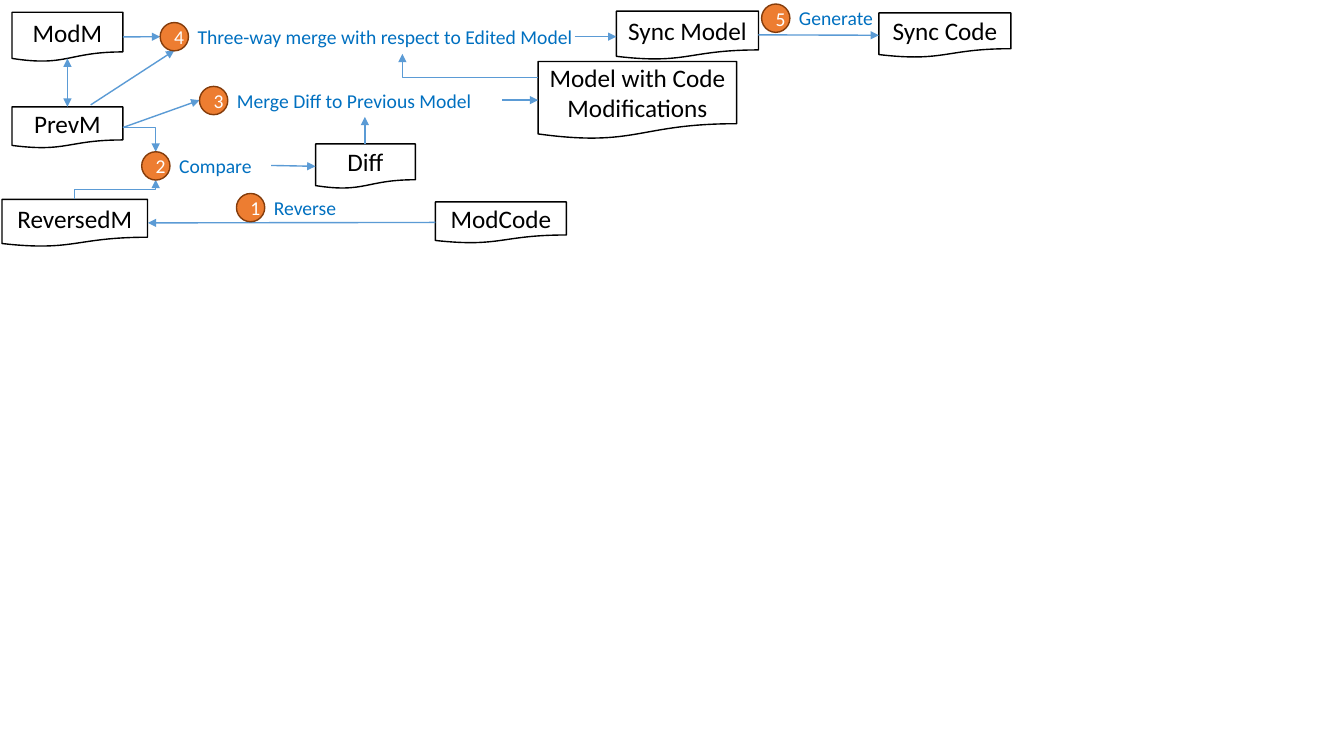
from lxml import etree
from pptx import Presentation
from pptx.dml.color import RGBColor
from pptx.enum.shapes import MSO_CONNECTOR, MSO_SHAPE
from pptx.enum.text import MSO_ANCHOR, MSO_AUTO_SIZE, PP_ALIGN
from pptx.oxml.ns import qn
from pptx.util import Pt

DOCUMENT, OVAL = MSO_SHAPE.FLOWCHART_DOCUMENT, MSO_SHAPE.OVAL
STRAIGHT, ELBOW = MSO_CONNECTOR.STRAIGHT, MSO_CONNECTOR.ELBOW

BLACK, WHITE, BLUE = "000000", "FFFFFF", "5B9BD5"
ORANGE, BROWN, LABEL_BLUE = "ED7D31", "843C0B", "0070C0"
FONT = "Calibri"
BADGE = 20.2
LABEL_DX, LABEL_DY, LABEL_H = 19.6, -1.9, 24.2

# Content: documents as text, left, top, width, height
DOCUMENTS = [
    ("ModM", 8.6, 8.8, 79.2, 35.3),
    ("ReversedM", 1.4, 142.4, 104, 33.8),
    ("PrevM", 8.6, 76.3, 79.2, 29.5),
    ("Model with Code Modifications", 384.4, 44, 141.8, 55.4),
    ("Diff", 225.4, 102.8, 71.3, 31.9),
    ("Sync Model", 440.3, 7.9, 101.5, 34.6),
    ("ModCode", 311, 144.2, 93.6, 29.5),
    ("Sync Code", 627.8, 9.2, 94.3, 31.9),
]

# Steps: number, label, badge left, badge top, label width
STEPS = [
    ("1", "Reverse", 168.9, 138.2, 59.8),
    ("2", "Compare", 101.2, 108.4, 72.7),
    ("3", "Merge Diff to Previous Model", 142.5, 61.7, 195.8),
    ("4", "Three-way merge with respect to Edited Model", 114.4, 16.1, 306),
    ("5", "Generate", 544, 2.9, 68.4),
]

# Straight arrows: from x, y, to x, y, arrowheads
ARROWS = [
    (87.8, 26.4, 114.4, 26.2, ["tailEnd"]),
    (48.2, 41.8, 48.2, 76.3, ["headEnd", "tailEnd"]),
    (193.7, 118.2, 225.4, 118.8, ["tailEnd"]),
    (260.6, 102.8, 260.6, 83.5, ["tailEnd"]),
    (87.8, 91.1, 142.5, 71.6, ["tailEnd"]),
    (358.6, 71.5, 384.4, 71.5, ["tailEnd"]),
    (410.4, 26.2, 440.3, 26.2, ["tailEnd"]),
    (64.8, 74.9, 124.6, 36, ["tailEnd"]),
    (311, 158.9, 105.6, 159.2, ["tailEnd"]),
    (541.8, 24.9, 627.8, 25.2, ["tailEnd"]),
]

# Bent arrows: from x, y, to x, y, preset, starts vertically
BENT_ARROWS = [
    (87.8, 91.1, 111.2, 108.4, "bentConnector2", False),
    (53.3, 142.4, 111.2, 128.4, "bentConnector3", True),
    (384.4, 55.6, 287.5, 38.5, "bentConnector2", False),
]


def color(value):
    return RGBColor.from_string(value)


def write(sp, text, size, text_color, align):
    tf = sp.text_frame
    tf.text = text
    p = tf.paragraphs[0]
    p.alignment = align
    r = p.runs[0]
    r.font.name, r.font.size = FONT, Pt(size)
    r.font.color.rgb = color(text_color)
    return tf


def add_box(kind, box, text, size, text_color, line, fill=None):
    sp = slide.shapes.add_shape(kind, *map(Pt, box))
    sp.shadow.inherit = False
    if fill:
        sp.fill.solid()
        sp.fill.fore_color.rgb = color(fill)
    else:
        sp.fill.background()
    sp.line.color.rgb = color(line)
    sp.line.width = Pt(1)
    tf = write(sp, text, size, text_color, PP_ALIGN.CENTER)
    tf.word_wrap = True
    tf.vertical_anchor = MSO_ANCHOR.MIDDLE


def add_arrow(kind, ends, width, heads):
    cxn = slide.shapes.add_connector(kind, *map(Pt, ends))
    cxn.line.color.rgb = color(BLUE)
    cxn.line.width = Pt(width)
    ln = cxn.line._get_or_add_ln()
    for head in heads:
        etree.SubElement(ln, qn("a:" + head), type="triangle")
    spPr = cxn._element.spPr
    etree.SubElement(spPr, qn("a:effectLst"))
    return spPr


prs = Presentation()
prs.slide_width, prs.slide_height = Pt(960), Pt(540)
slide = prs.slides.add_slide(prs.slide_layouts[6])

# Documents
for text, *box in DOCUMENTS:
    add_box(DOCUMENT, box, text, 18, BLACK, BLACK)

# Straight arrows
for *ends, heads in ARROWS:
    add_arrow(STRAIGHT, ends, 1, heads)

# Bent arrows: a vertical start is a horizontal one turned by 90 degrees
for x1, y1, x2, y2, preset, vertical in BENT_ARROWS:
    ends = x1, y1, x2, y2
    if vertical:
        cx, cy = (x1 + x2) / 2, (y1 + y2) / 2
        dx, dy = (x2 - x1) / 2, (y2 - y1) / 2
        ends = cx - dy, cy + dx, cx + dy, cy - dx
    spPr = add_arrow(ELBOW, ends, 0.5, ["tailEnd"])
    spPr.find(qn("a:prstGeom")).set("prst", preset)
    if vertical:
        spPr.find(qn("a:xfrm")).set("rot", "5400000")

# Numbered steps with labels
for number, label, x, y, width in STEPS:
    add_box(OVAL, (x, y, BADGE, BADGE), number, 14, WHITE, BROWN, ORANGE)
    box = x + LABEL_DX, y + LABEL_DY, width, LABEL_H
    sp = slide.shapes.add_textbox(*map(Pt, box))
    tf = write(sp, label, 14, LABEL_BLUE, PP_ALIGN.LEFT)
    tf.word_wrap = False
    tf.auto_size = MSO_AUTO_SIZE.SHAPE_TO_FIT_TEXT

prs.save("out.pptx")
